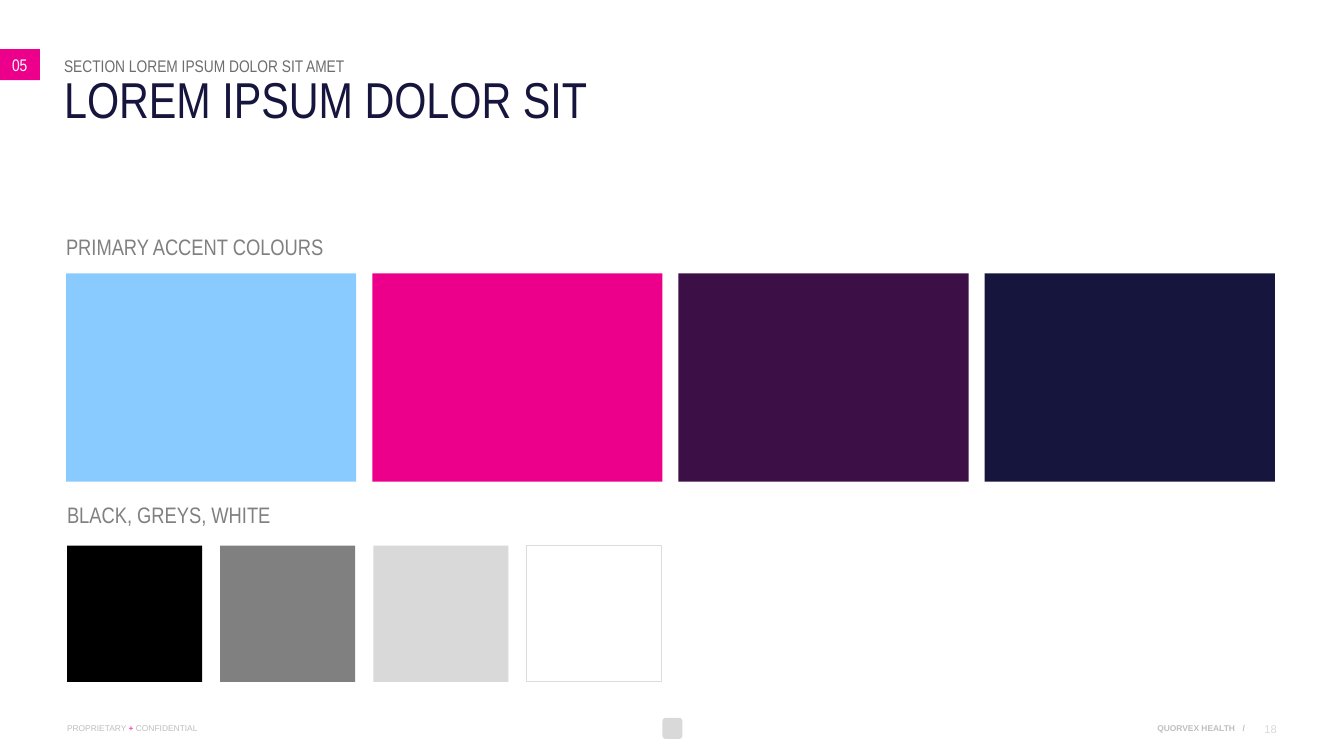
import pptx
import pptx.dml.color
import pptx.enum.shapes
import pptx.enum.text
import pptx.util
from pptx.oxml.ns import qn

RGBColor = pptx.dml.color.RGBColor
Align = pptx.enum.text.PP_ALIGN
Anchor = pptx.enum.text.MSO_ANCHOR
Preset = pptx.enum.shapes.MSO_SHAPE

EMU_PER_PX = 9080
SLIDE_WIDTH, SLIDE_HEIGHT = 1343, 755

WHITE = RGBColor(0xFF, 0xFF, 0xFF)
BLACK = RGBColor(0x00, 0x00, 0x00)
GREY = RGBColor(0x80, 0x80, 0x80)
SECTION_GREY = RGBColor(0x6D, 0x6D, 0x6D)
FOOTER_GREY = RGBColor(0xBF, 0xBF, 0xBF)
LIGHT_GREY = RGBColor(0xD9, 0xD9, 0xD9)
OUTLINE_GREY = RGBColor(0xDC, 0xDC, 0xDC)
SKY = RGBColor(0x89, 0xCB, 0xFF)
PINK = RGBColor(0xEC, 0x00, 0x8B)
PLUM = RGBColor(0x3C, 0x10, 0x46)
NAVY = RGBColor(0x16, 0x15, 0x3E)

HEADING_FONT = "Arial Narrow"
FOOTER_FONT = "Arial"


def px(length):
    return pptx.util.Emu(length * EMU_PER_PX)


def write_text(shape, pieces, size, font_name, align=Align.LEFT,
               anchor=Anchor.TOP, left_inset=0, bold=False):
    """Fill a shape with one paragraph of (text, colour) pieces."""
    frame = shape.text_frame
    frame.word_wrap = True
    frame.auto_size = pptx.enum.text.MSO_AUTO_SIZE.NONE
    frame.vertical_anchor = anchor
    frame.margin_left = px(left_inset)
    frame.margin_top = frame.margin_right = frame.margin_bottom = 0
    paragraph = frame.paragraphs[0]
    paragraph.alignment = align
    paragraph.space_before = pptx.util.Pt(0)
    for text, colour in pieces:
        run = paragraph.add_run()
        run.text = text
        run.font.size = pptx.util.Pt(size)
        run.font.name = font_name
        run.font.bold = bold
        run.font.color.rgb = colour
    return paragraph


def place(shape, left, top, width, height):
    shape.left, shape.top = px(left), px(top)
    shape.width, shape.height = px(width), px(height)


def remove_bullet(paragraph):
    properties = paragraph._p.get_or_add_pPr()
    properties.set("marL", "0")
    properties.set("indent", "0")
    properties.append(properties.makeelement(qn("a:buNone"), {}))


def add_text(slide, box, pieces, size, font_name, **options):
    shape = slide.shapes.add_textbox(*map(px, box))
    write_text(shape, pieces, size, font_name, **options)


def add_block(slide, box, fill, outline=None, preset=Preset.RECTANGLE):
    block = slide.shapes.add_shape(preset, *map(px, box))
    block.shadow.inherit = False
    block.fill.solid()
    block.fill.fore_color.rgb = fill
    if outline is None:
        block.line.fill.background()
    else:
        block.line.color.rgb = outline
        block.line.width = pptx.util.Pt(0.75)


def add_header(slide, left, top, width):
    """Section number at the slide edge, section name and title."""
    title = slide.shapes.title
    section, badge = slide.placeholders[1], slide.placeholders[2]

    place(section, left, top + 7, width, 20)
    remove_bullet(write_text(
        section, [("SECTION LOREM IPSUM DOLOR SIT AMET", SECTION_GREY)],
        12, HEADING_FONT))

    place(badge, 0, top, 40, 31)
    badge.fill.solid()
    badge.fill.fore_color.rgb = PINK
    remove_bullet(write_text(badge, [("05", WHITE)], 12, HEADING_FONT,
                             anchor=Anchor.MIDDLE, left_inset=12))

    place(title, left, top + 31, width, 50)
    heading = write_text(title, [("LOREM IPSUM DOLOR SIT", NAVY)],
                         36, HEADING_FONT)
    heading.line_spacing = 0.8


def add_palette(slide, left, top, heading, swatches, size, pitch, drop):
    """A heading with a row of (fill, outline) swatches below, by drop."""
    width, height = size
    add_text(slide, (left, top, 465, 28), [(heading, GREY)], 16, HEADING_FONT)
    for column, (fill, outline) in enumerate(swatches):
        add_block(slide, (left + column * pitch, top + drop, width, height),
                  fill, outline)


def add_footer(slide, left, top, right):
    add_text(slide, (left, top, 200, 10),
             [("PROPRIETARY ", FOOTER_GREY), ("+", PINK),
              (" CONFIDENTIAL", FOOTER_GREY)], 6, FOOTER_FONT)
    add_block(slide, (SLIDE_WIDTH // 2 - 9, top - 5, 20, 21), LIGHT_GREY,
              preset=Preset.ROUNDED_RECTANGLE)
    for text, text_right in (("QUORVEX HEALTH", right - 42), ("/", right - 32)):
        add_text(slide, (text_right - 100, top, 100, 10),
                 [(text, FOOTER_GREY)], 6, FOOTER_FONT,
                 align=Align.RIGHT, bold=True)
    add_text(slide, (right - 30, top - 1, 30, 13), [("18", LIGHT_GREY)],
             8, FOOTER_FONT, align=Align.RIGHT)


def main():
    presentation = pptx.Presentation()
    presentation.slide_width = px(SLIDE_WIDTH)
    presentation.slide_height = px(SLIDE_HEIGHT)
    two_content_layout = presentation.slide_layouts[3]
    slide = presentation.slides.add_slide(two_content_layout)

    add_header(slide, 64, 49, 1208)
    add_palette(slide, 66, 233, "PRIMARY ACCENT COLOURS",
                [(SKY, None), (PINK, None), (PLUM, None), (NAVY, None)],
                size=(290, 208), pitch=306, drop=40)
    add_palette(slide, 67, 501, "BLACK, GREYS, WHITE",
                [(BLACK, None), (GREY, None), (LIGHT_GREY, None),
                 (WHITE, OUTLINE_GREY)],
                size=(135, 136), pitch=153, drop=44)
    add_footer(slide, 67, 722, 1276)
    presentation.save("out.pptx")


if __name__ == "__main__":
    main()
